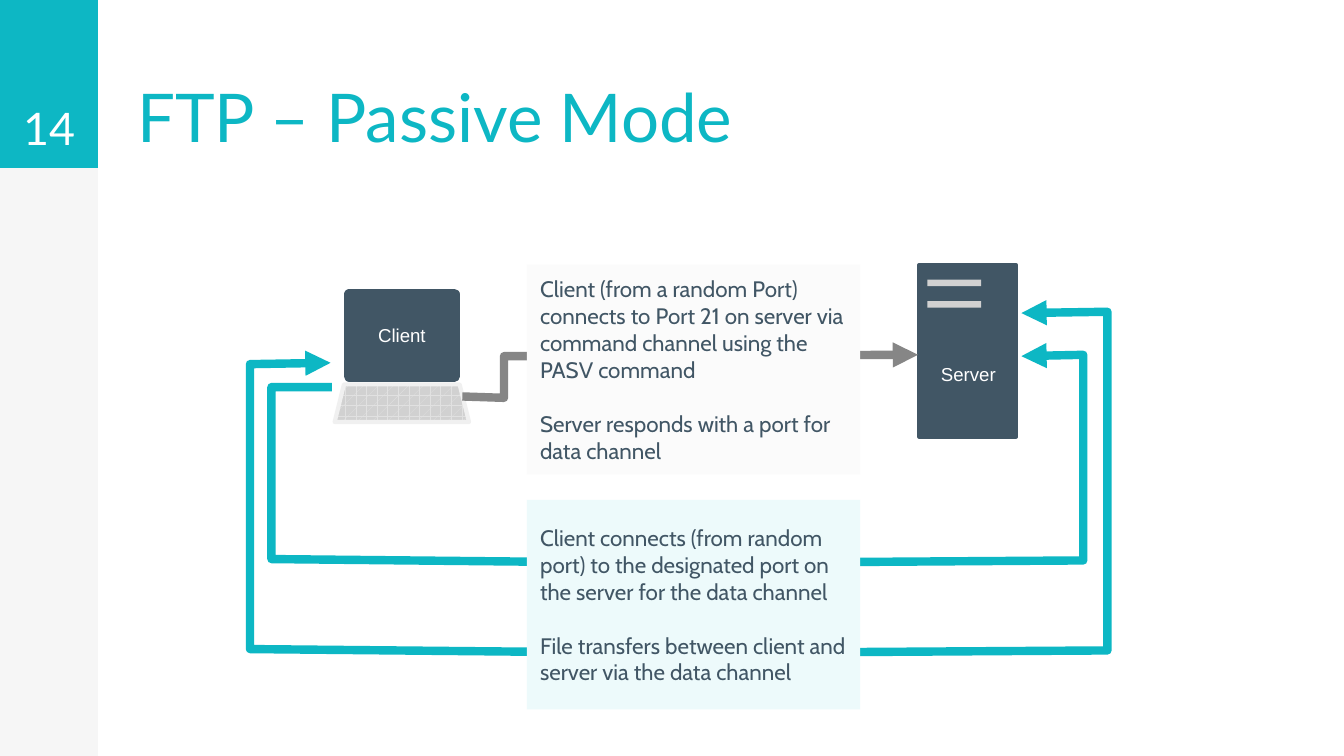
from dataclasses import dataclass

from lxml.etree import SubElement
from pptx import Presentation
from pptx.dml.color import RGBColor
from pptx.enum.dml import MSO_PATTERN
from pptx.enum.shapes import MSO_SHAPE
from pptx.enum.text import MSO_ANCHOR, MSO_AUTO_SIZE, PP_ALIGN
from pptx.oxml.ns import qn
from pptx.util import Inches, Pt

SLIDE_WIDTH = 10
SLIDE_HEIGHT = SLIDE_WIDTH * 9 / 16


@dataclass(frozen=True)
class Theme:
    accent: str = "0DB7C4"
    dark: str = "415665"
    gray: str = "868686"
    slot: str = "D1D1D1"
    key_gap: str = "E1E1E1"
    key_edge: str = "F0F0F0"
    sidebar: str = "F6F6F6"
    command_fill: str = "FBFBFB"
    data_fill: str = "EDFAFB"
    white: str = "FFFFFF"
    title_font: str = "Lato"
    note_font: str = "Cabin"
    label_font: str = "Arial"
    title_size: float = 36
    number_size: float = 24
    note_size: float = 12
    label_size: float = 10
    note_gap: float = 14.5
    channel_width: float = 4.5


THEME = Theme()


def rgb(value):
    return RGBColor.from_string(value)


def write_text(shape, *paragraphs, font, size, color, align=PP_ALIGN.LEFT,
               anchor=MSO_ANCHOR.MIDDLE, inset=0.1, gap=0):
    """Fill a shape with paragraphs that share one format."""
    frame = shape.text_frame
    frame.word_wrap = True
    frame.auto_size = MSO_AUTO_SIZE.NONE
    frame.vertical_anchor = anchor
    frame.margin_left = frame.margin_right = Inches(inset)
    frame.margin_top = frame.margin_bottom = Inches(inset)
    for index, text in enumerate(paragraphs):
        paragraph = frame.paragraphs[0] if index == 0 else frame.add_paragraph()
        paragraph.alignment = align
        paragraph.space_before = Pt(gap if index else 0)
        run = paragraph.add_run()
        run.text = text
        run.font.name, run.font.size = font, Pt(size)
        run.font.color.rgb = rgb(color)


def add_block(slide, box, fill, line=None, width=2, kind=MSO_SHAPE.RECTANGLE):
    block = slide.shapes.add_shape(kind, *map(Inches, box))
    block.shadow.inherit = False
    block.fill.solid()
    block.fill.fore_color.rgb = rgb(fill)
    if line:
        block.line.color.rgb = rgb(line)
        block.line.width = Pt(width)
    else:
        block.line.fill.background()
    return block


def add_channel(slide, points, color, *arrow_ends):
    """Draw an open path with arrowheads at the named ends."""
    corners = [(Inches(x), Inches(y)) for x, y in points]
    builder = slide.shapes.build_freeform(*corners[0])
    builder.add_line_segments(corners[1:], close=False)
    channel = builder.convert_to_shape()
    channel.shadow.inherit = False
    channel.fill.background()
    channel.line.color.rgb = rgb(color)
    channel.line.width = Pt(THEME.channel_width)
    outline = channel.line._get_or_add_ln()
    SubElement(outline, qn("a:round"))
    for end in arrow_ends:
        SubElement(outline, qn(f"a:{end}"), type="triangle")


def add_sidebar(slide, box, number):
    left, top, width, _ = box
    add_block(slide, box, THEME.sidebar)
    badge = add_block(slide, (left, top, width, 1.25), THEME.accent)
    write_text(badge, number, font=THEME.title_font, size=THEME.number_size,
               color=THEME.white, align=PP_ALIGN.CENTER, anchor=MSO_ANCHOR.BOTTOM)


def add_title(slide, box, text):
    title = slide.shapes.title
    title.left, title.top, title.width, title.height = map(Inches, box)
    write_text(title, text, font=THEME.title_font, size=THEME.title_size,
               color=THEME.accent, anchor=MSO_ANCHOR.BOTTOM)


def add_label(shape, text):
    write_text(shape, text, font=THEME.label_font, size=THEME.label_size,
               color=THEME.white, align=PP_ALIGN.CENTER, inset=0)


def add_server(slide, box):
    left, top, width, height = box
    add_block(slide, box, THEME.dark, THEME.dark)
    front = add_block(slide, (left + 0.06, top + 0.39, width - 0.11, height - 0.44),
                      THEME.dark, THEME.dark)
    add_label(front, "Server")
    # Drive bays, each with a slot
    for bay in range(2):
        bay_top = top + 0.08 + bay * 0.16
        add_block(slide, (left + 0.06, bay_top, width - 0.11, 0.11), THEME.dark, THEME.dark)
        add_block(slide, (left + 0.06, bay_top + 0.03, 0.4, 0.05), THEME.slot)


def add_client(slide, box):
    left, top, width, height = box
    screen = add_block(slide, (left + 0.11, top, width - 0.22, 0.61),
                       THEME.dark, THEME.dark, 6)
    add_label(screen, "Client")
    keyboard = add_block(slide, (left, top + height - 0.28, width, 0.28), THEME.slot,
                         THEME.key_edge, 2.25, MSO_SHAPE.TRAPEZOID)
    keyboard.fill.patterned()
    keyboard.fill.pattern = MSO_PATTERN.PLAID
    keyboard.fill.fore_color.rgb = rgb(THEME.key_gap)
    keyboard.fill.back_color.rgb = rgb(THEME.slot)


def add_data_loop(slide, box, server_x, client, arrow_ends):
    """Run from the server, below both machines, and up to the client."""
    left, top, width, height = box
    right, bottom = left + width, top + height
    middle = left + width / 2
    client_x, client_y, corner_y = client
    add_channel(slide, [(server_x, top + 0.01), (right, top), (right, bottom - 0.02),
                        (middle, bottom), (left, bottom - 0.03),
                        (left, corner_y), (client_x, client_y)],
                THEME.accent, *arrow_ends)


def add_command_channel(slide, box):
    left, top, width, height = box
    bend = left + 0.31
    add_channel(slide, [(left, top + height - 0.01), (bend, top + height),
                        (bend, top + 0.01), (left + width, top)],
                THEME.gray, "tailEnd")


def add_note(slide, box, fill, *paragraphs):
    note = add_block(slide, box, fill)
    write_text(note, *paragraphs, font=THEME.note_font, size=THEME.note_size,
               color=THEME.dark, gap=THEME.note_gap)


def add_diagram(slide, box):
    left, top, _, _ = box
    # Outer loop carries the file transfer, inner loop opens the data channel
    server_x = left + 5.74
    add_data_loop(slide, (left, top + 0.35, 6.38, 2.54), server_x,
                  (left + 0.6, top + 0.73, top + 0.74), ("headEnd", "tailEnd"))
    add_server(slide, (left + 4.98, top, 0.72, 1.28))
    add_client(slide, (left + 0.63, top + 0.22, 1, 0.95))
    add_data_loop(slide, (left + 0.16, top + 0.67, 6.04, 1.55), server_x,
                  (left + 0.61, top + 0.91, top + 0.91), ("headEnd",))
    add_command_channel(slide, (left + 1.58, top + 0.67, 3.39, 0.32))

    # Notes over the channels
    notes = [
        (THEME.command_fill,
         "Client (from a random Port) connects to Port 21 on server via command "
         "channel using the PASV command",
         "Server responds with a port for data channel"),
        (THEME.data_fill,
         "Client connects (from random port) to the designated port on the server "
         "for the data channel",
         "File transfers between client and server via the data channel"),
    ]
    for row, (fill, *paragraphs) in enumerate(notes):
        add_note(slide, (left + 2.06, top + row * 1.75, 2.48, 1.56), fill, *paragraphs)


def main():
    deck = Presentation()
    deck.slide_width, deck.slide_height = Inches(SLIDE_WIDTH), Inches(SLIDE_HEIGHT)
    slide = deck.slides.add_slide(deck.slide_layouts[5])
    add_sidebar(slide, (0, 0, 0.73, SLIDE_HEIGHT), "14")
    add_title(slide, (0.92, 0.01, 8.34, 1.25), "FTP – Passive Mode")
    add_diagram(slide, (1.86, 1.97, 6.38, 3.31))
    deck.save("out.pptx")


if __name__ == "__main__":
    main()
